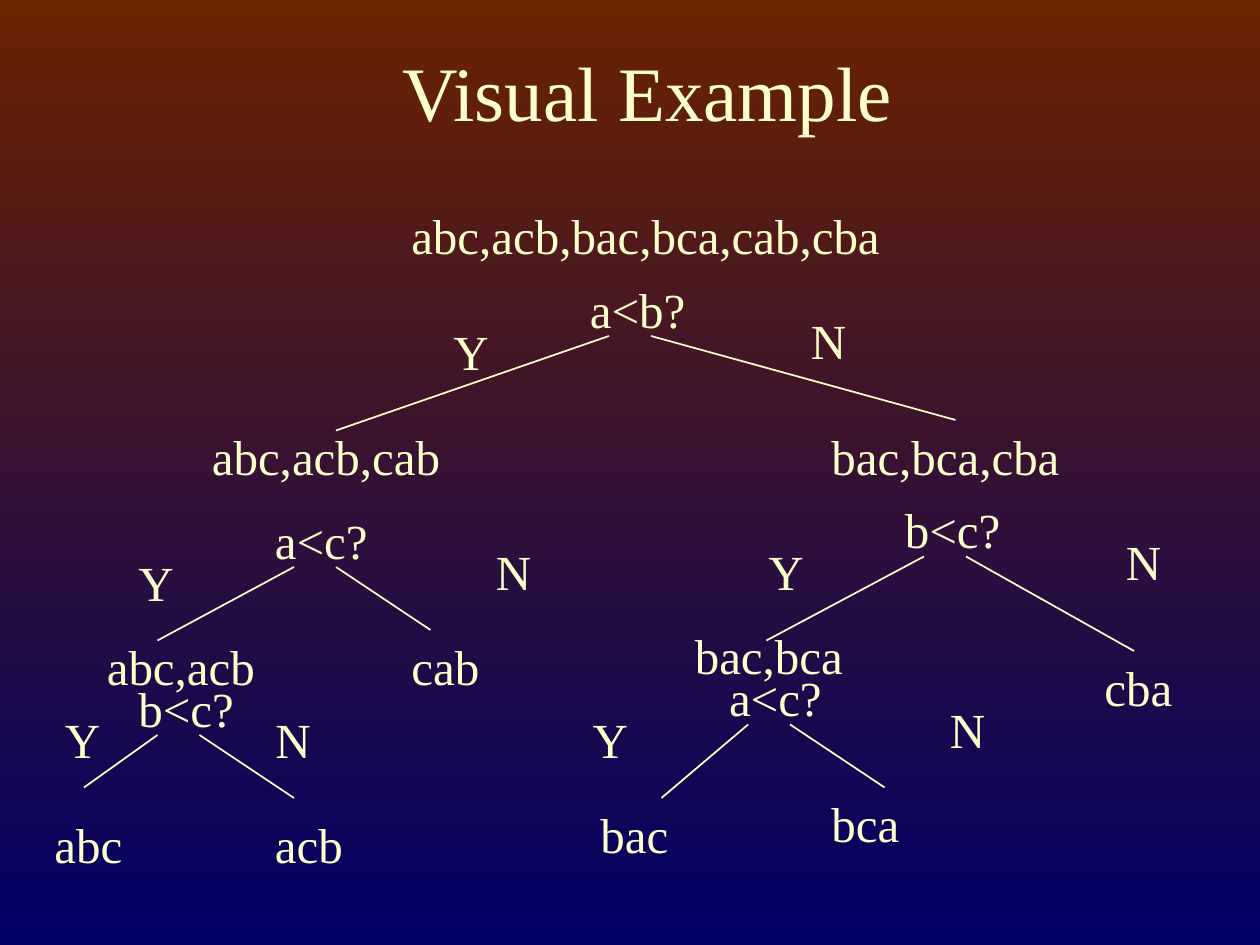
"""Build a slide showing a comparison tree that sorts three items."""
from dataclasses import dataclass

from lxml import etree
from pptx import Presentation
from pptx import util as u
from pptx.dml.color import RGBColor
from pptx.enum import shapes, text
from pptx.oxml import ns
from pptx.shapes.shapetree import GroupShapes, SlideShapes

CREAM = RGBColor(0xFF, 0xFF, 0xCC)
BROWN = RGBColor(0x6B, 0x23, 0x00)
NAVY = RGBColor(0x00, 0x00, 0x66)
ROW_HEIGHT = 41
QUESTION_WIDTHS = {"a<b?": 69.5, "a<c?": 68, "b<c?": 69.5}
LIST_WIDTHS = {3: 53.5, 7: 99.5, 11: 146, 23: 282.5}
ANSWER_WIDTH = 35
FRAME_FORMAT = {
    "auto_size": text.MSO_AUTO_SIZE.SHAPE_TO_FIT_TEXT,
    "margin_left": u.Pt(7.2),
    "margin_right": u.Pt(7.2),
    "margin_top": u.Pt(3.6),
    "margin_bottom": u.Pt(3.6),
}

Point = tuple[float, float]
ShapeList = SlideShapes | GroupShapes


@dataclass(frozen=True)
class Branch:
    answer: str
    answer_offset: Point
    line_start: Point
    line_end: Point
    result: str
    result_at: Point


@dataclass(frozen=True)
class Split:
    question: str
    at: Point
    yes: Branch
    no: Branch


def yes(line_end: Point, result: str, result_at: Point,
        offset: Point = (-78, 24)) -> Branch:
    """Describe the left branch of a split."""
    return Branch("Y", offset, (18, 36), line_end, result, result_at)


def no(line_end: Point, result: str, result_at: Point,
       offset: Point = (126.2, 18)) -> Branch:
    """Describe the right branch of a split."""
    return Branch("N", offset, (42, 36), line_end, result, result_at)


SPLITS = [
    Split("a<b?", (330, 156),
          yes((192, 246), "abc,acb,cab", (114, 240)),
          no((546, 240), "bac,bca,cba", (468, 240))),
    Split("a<c?", (150, 288),
          yes((90, 366), "abc,acb", (54, 360)),
          no((246, 360), "cab", (228, 360))),
    Split("b<c?", (72, 384),
          yes((48, 450), "abc", (24, 462), offset=(-42, 18)),
          no((168, 456), "acb", (150, 462), offset=(78.2, 18))),
    Split("b<c?", (510, 282),
          yes((438, 366), "bac,bca", (390, 354)),
          no((648, 372), "cba", (624, 372))),
    Split("a<c?", (409.5, 378),
          yes((378, 456), "bac", (336, 456)),
          no((505.5, 450), "bca", (468, 450))),
]


def shift(origin: Point, offset: Point) -> Point:
    """Move a point by an offset."""
    return origin[0] + offset[0], origin[1] + offset[1]


def add_text(target: ShapeList, words: str, at: Point, width: float,
             height: float = ROW_HEIGHT, size: float = 28, wrap: bool = False,
             align: text.PP_ALIGN = text.PP_ALIGN.LEFT,
             anchor: text.MSO_ANCHOR = text.MSO_ANCHOR.TOP) -> None:
    """Add one line of cream text."""
    box = target.add_textbox(*map(u.Pt, (*at, width, height)))
    frame = box.text_frame
    frame_format = FRAME_FORMAT | {"word_wrap": wrap, "vertical_anchor": anchor}
    for name, value in frame_format.items():
        setattr(frame, name, value)
    para = frame.paragraphs[0]
    para.alignment = align
    span = para.add_run()
    span.text = words
    for name, value in {"name": "Times New Roman", "size": u.Pt(size)}.items():
        setattr(span.font, name, value)
    span.font.color.rgb = CREAM


def add_list(target: ShapeList, words: str, at: Point) -> None:
    """Add a list of possible orders."""
    add_text(target, words, at, LIST_WIDTHS[len(words)])


def add_line(target: ShapeList, start: Point, end: Point) -> None:
    """Add a thin cream line without shadow."""
    line = target.add_connector(shapes.MSO_CONNECTOR.STRAIGHT,
                                *map(u.Pt, (*start, *end)))
    line.line.color.rgb = CREAM
    line.line.width = u.Pt(1)
    properties = line.element.find(ns.qn("p:spPr"))
    etree.SubElement(properties, ns.qn("a:effectLst"))


def add_split(target: SlideShapes, split: Split) -> None:
    """Add a question with its two branches as a group."""
    members = target.add_group_shape().shapes
    add_text(members, split.question, split.at, QUESTION_WIDTHS[split.question])
    for branch in (split.yes, split.no):
        add_text(members, branch.answer, shift(split.at, branch.answer_offset),
                 ANSWER_WIDTH)
        add_line(members, shift(split.at, branch.line_start), branch.line_end)
        add_list(members, branch.result, branch.result_at)


def main() -> None:
    """Build and save the deck."""
    deck = Presentation()
    deck.slide_width, deck.slide_height = u.Pt(720), u.Pt(540)
    page = deck.slides.add_slide(deck.slide_layouts[6])
    fill = page.background.fill
    fill.gradient()
    fill.gradient_angle = 270
    for stop, color in zip(fill.gradient_stops, (BROWN, NAVY)):
        stop.color.rgb = color
    add_text(page.shapes, "Visual Example", (20, 18), 700, 67.5, size=44,
             wrap=True, align=text.PP_ALIGN.CENTER,
             anchor=text.MSO_ANCHOR.MIDDLE)
    add_list(page.shapes, "abc,acb,bac,bca,cab,cba", (228, 114))
    for split in SPLITS:
        add_split(page.shapes, split)
    deck.save("out.pptx")


if __name__ == "__main__":
    main()
